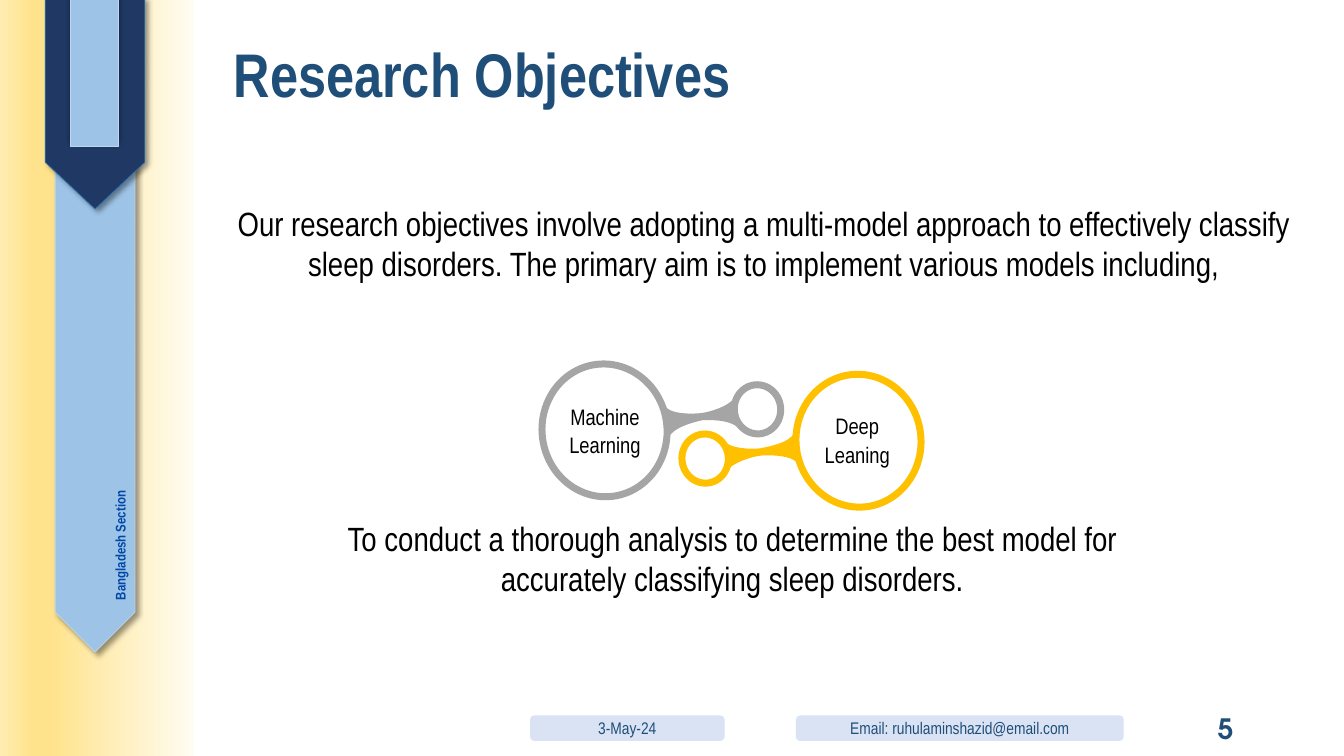
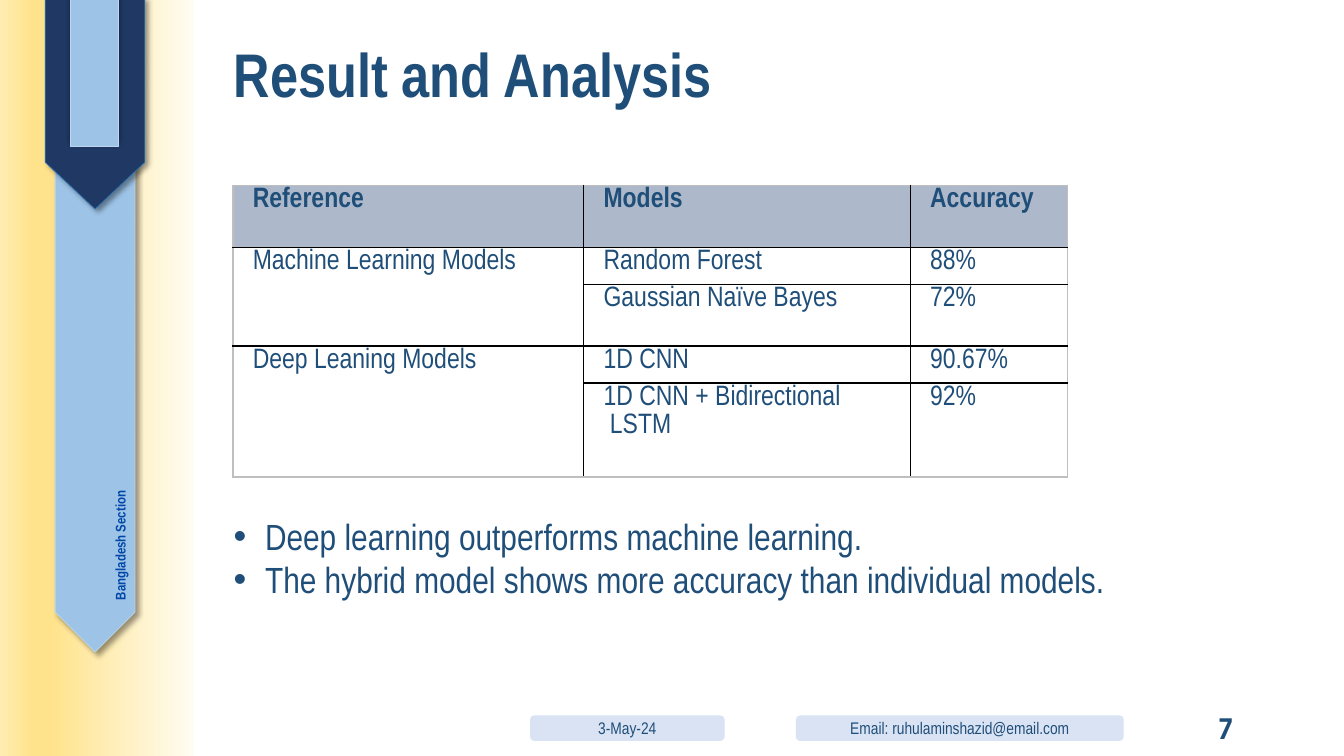
from lxml.etree import SubElement
from pptx import Presentation
from pptx.dml.color import RGBColor
from pptx.enum.shapes import MSO_SHAPE
from pptx.enum.text import MSO_ANCHOR, PP_ALIGN
from pptx.oxml.ns import qn
from pptx.util import Cm, Pt

BLUE, BLACK = "1F4E79", "000000"
GREY, GOLD, LIGHT_GREY = "A5A5A5", "FFC000", "BFBFBF"
NARROW = "Arial Narrow"
TITLE = {"name": NARROW, "size": Pt(44), "bold": True}
SECTION = {"name": NARROW, "size": Pt(10), "bold": True}
FOOTER = {"name": NARROW, "size": Pt(12), "bold": False}
NUMBER = {"name": "TeX Gyre Adventor", "size": Pt(20), "bold": True}
BODY = {"name": NARROW, "size": Pt(24), "bold": False}
LABEL = {"name": NARROW, "size": Pt(16), "bold": False}
HEADER = {"name": NARROW, "size": Pt(20), "bold": True}
CELL = {"name": NARROW, "size": Pt(20), "bold": False}
BULLET = {"name": NARROW, "size": Pt(26), "bold": False}


def paint(shape, fill, line=None, width=0.5):
    shape.shadow.inherit = False
    shape.fill.solid()
    shape.fill.fore_color.rgb = RGBColor.from_string(fill)
    if line:
        shape.line.color.rgb = RGBColor.from_string(line)
        shape.line.width = Pt(width)
    else:
        shape.line.fill.background()


def write(frame, lines, style, color, alignment=PP_ALIGN.LEFT, spacing=1.0, anchor=MSO_ANCHOR.TOP):
    frame.word_wrap = True
    frame.vertical_anchor = anchor
    for index, line in enumerate(lines):
        paragraph = frame.add_paragraph() if index else frame.paragraphs[0]
        paragraph.alignment = alignment
        paragraph.line_spacing = spacing
        run = paragraph.add_run()
        run.text = line
        run.font.color.rgb = RGBColor.from_string(color)
        for name, value in style.items():
            setattr(run.font, name, value)


presentation = Presentation()
presentation.slide_width = Cm(33.87)
presentation.slide_height = Cm(19.05)

band_stops = [(0, "FFFCF2"), (74, "FFE38C"), (83, "FFE38C"), (100, "FFECB2")]
ribbons = [
    ((-5.82, 7.21, 16.43, 2.01), 0.5, "9DC3E6", "BDD7EE", 45),
    ((-0.27, 1.35, 5.33, 2.51), 0.47, "203864", "2E75B6", 45),
    ((0.51, 1.22, 3.73, 1.22), 0, "9DC3E6", "BDD7EE", 270),
]
footers = [
    ((13.36, 18.03, 4.9, 0.64), "3-May-24"),
    ((20.06, 18.03, 8.26, 0.64), "Email: ruhulaminshazid@email.com"),
]

slides = []
for title, number in [("Research Objectives", "5"), ("Result and Analysis", "7")]:
    slide = presentation.slides.add_slide(presentation.slide_layouts[6])
    slides.append(slide)

    band = slide.shapes.add_shape(MSO_SHAPE.RECTANGLE, 0, 0, Cm(4.88), Cm(19.05))
    band.shadow.inherit = False
    band.line.fill.background()
    band.fill.gradient()
    band.fill.gradient_angle = 180
    stops = band._element.spPr.find(qn("a:gradFill")).find(qn("a:gsLst"))
    for stop in list(stops):
        stops.remove(stop)
    for position, color in band_stops:
        stop = SubElement(stops, qn("a:gs"), pos=str(position * 1000))
        SubElement(stop, qn("a:srgbClr"), val=color)

    for box, point, fill, line, direction in ribbons:
        ribbon = slide.shapes.add_shape(MSO_SHAPE.PENTAGON, *map(Cm, box))
        ribbon.rotation = 90
        ribbon.adjustments[0] = point
        paint(ribbon, fill, line)
        effects = ribbon._element.spPr.find(qn("a:effectLst"))
        shadow = SubElement(
            effects, qn("a:outerShdw"), blurRad=str(Pt(4)), dist=str(Pt(3)),
            dir=str(direction * 60000), rotWithShape="0")
        shadow_color = SubElement(shadow, qn("a:srgbClr"), val=BLACK)
        SubElement(shadow_color, qn("a:alpha"), val="40000")

    section = slide.shapes.add_textbox(*map(Cm, (0.81, 12.78, 4.47, 0.71)))
    section.rotation = 270
    write(section.text_frame, ["Bangladesh Section"], SECTION, "0047A8")

    heading = slide.shapes.add_textbox(*map(Cm, (5.64, 0.36, 27.23, 3.18)))
    write(heading.text_frame, [title], TITLE, BLUE, spacing=0.9, anchor=MSO_ANCHOR.MIDDLE)

    page = slide.shapes.add_textbox(*map(Cm, (23.72, 18.03, 7.62, 0.64)))
    write(page.text_frame, [number], NUMBER, BLUE, PP_ALIGN.RIGHT, anchor=MSO_ANCHOR.MIDDLE)

    for box, text in footers:
        footer = slide.shapes.add_shape(MSO_SHAPE.ROUNDED_RECTANGLE, *map(Cm, box))
        paint(footer, "DAE3F3")
        write(footer.text_frame, [text], FOOTER, BLUE, PP_ALIGN.CENTER, anchor=MSO_ANCHOR.MIDDLE)

objectives, results = slides

links = [
    (GREY, 82.7, [(13.56, 9.27, 3.35, 3.15), (18.47, 9.73, 1.24, 1.17)], [
        (18.54, 9.98), (18.44, 10.29), (18.49, 10.52), (18.64, 10.82),
        (18.49, 10.62), (18.08, 10.57), (17.7, 10.59),
        (17.35, 10.67), (16.94, 10.8), (16.84, 11.05),
        (16.84, 11.05), (16.74, 10.21), (16.74, 10.21),
        (16.87, 10.44), (17.4, 10.44), (17.68, 10.41),
        (18.01, 10.36), (18.44, 10.19), (18.54, 9.98)]),
    (GOLD, 263.6, [(19.96, 9.53, 3.35, 3.15), (17.15, 10.97, 1.24, 1.17)], [
        (18.29, 11.91), (18.42, 11.53), (18.42, 11.43), (18.19, 11.07),
        (18.36, 11.28), (18.77, 11.33), (19.15, 11.3),
        (19.51, 11.23), (19.94, 11.13), (20.04, 10.87),
        (20.04, 10.87), (20.12, 11.71), (20.12, 11.71),
        (20.02, 11.48), (19.46, 11.46), (19.18, 11.48),
        (18.82, 11.53), (18.39, 11.71), (18.29, 11.91)]),
]
steps = 10
for color, rotation, circles, curve in links:
    for box in circles:
        circle = objectives.shapes.add_shape(MSO_SHAPE.OVAL, *map(Cm, box))
        circle.rotation = rotation
        paint(circle, "FFFFFF", color, 5)
    points = []
    for start in range(0, len(curve) - 1, 3):
        controls = curve[start:start + 4]
        for step in range(1, steps + 1):
            t = step / steps
            weights = ((1 - t) ** 3, 3 * t * (1 - t) ** 2, 3 * t ** 2 * (1 - t), t ** 3)
            points.append(tuple(
                Cm(sum(weight * control[axis] for weight, control in zip(weights, controls)))
                for axis in (0, 1)))
    builder = objectives.shapes.build_freeform(*map(Cm, curve[0]))
    builder.add_line_segments(points, close=True)
    paint(builder.convert_to_shape(), color)

texts = [
    ((13.77, 9.98, 2.95, 2.26), LABEL, 1.07, ["Machine", "Learning"]),
    ((19.33, 10.22, 4.55, 2.26), LABEL, 1.07, ["Deep", "Leaning"]),
    ((5.64, 4.98, 27.2, 2.31), BODY, 1.0, [
        "Our research objectives involve adopting a multi-model approach to effectively classify",
        "sleep disorders. The primary aim is to implement various models including,"]),
    ((8.2, 12.93, 20.5, 2.31), BODY, 1.0, [
        "To conduct a thorough analysis to determine the best model for",
        "accurately classifying sleep disorders."]),
]
for box, style, spacing, lines in texts:
    text_box = objectives.shapes.add_textbox(*map(Cm, box))
    write(text_box.text_frame, lines, style, BLACK, PP_ALIGN.CENTER, spacing)

rows = [
    (1.56, [["Reference"], ["Models"], ["Accuracy"]]),
    (0.93, [["Machine Learning Models"], ["Random Forest"], ["88%"]]),
    (1.56, [[], ["Gaussian Naïve Bayes"], ["72%"]]),
    (0.93, [["Deep Leaning Models"], ["1D CNN"], ["90.67%"]]),
    (2.37, [[], ["1D CNN + Bidirectional", " LSTM"], ["92%"]]),
]
widths = [8.84, 8.23, 3.96]
height_sum = sum(height for height, contents in rows)
table = results.shapes.add_table(
    len(rows), len(widths), *map(Cm, (5.87, 4.67, sum(widths), height_sum))).table
table.horz_banding = False
for row_index in (1, 3):
    table.cell(row_index, 0).merge(table.cell(row_index + 1, 0))
for column, width in zip(table.columns, widths):
    column.width = Cm(width)
for row_index, (height, contents) in enumerate(rows):
    table.rows[row_index].height = Cm(height)
    for column_index, lines in enumerate(contents):
        cell = table.cell(row_index, column_index)
        margins = {"margin_left": 0.5, "margin_right": 0.18, "margin_top": 0, "margin_bottom": 0}
        for name, value in margins.items():
            setattr(cell, name, Cm(value))
        style = CELL if row_index else HEADER
        write(cell.text_frame, lines, style, BLUE, PP_ALIGN.JUSTIFY, 1.07)
        outer_sides = {
            "a:lnL": column_index == 0,
            "a:lnR": column_index == len(widths) - 1,
            "a:lnT": row_index == 0,
            "a:lnB": row_index + cell.span_height == len(rows),
        }
        properties = cell._tc.get_or_add_tcPr()
        for side, outer in outer_sides.items():
            border = SubElement(properties, qn(side), w=str(Pt(1)))
            border_fill = SubElement(border, qn("a:solidFill"))
            SubElement(border_fill, qn("a:srgbClr"), val=LIGHT_GREY if outer else BLACK)
        if row_index:
            cell.fill.background()
        else:
            cell.fill.solid()
            cell.fill.fore_color.rgb = RGBColor.from_string("ADB9CA")

findings = results.shapes.add_textbox(*map(Cm, (5.64, 12.82, 24.49, 2.49)))
write(findings.text_frame, [
    "Deep learning outperforms machine learning.",
    "The hybrid model shows more accuracy than individual models."], BULLET, BLUE)
for paragraph in findings.text_frame.paragraphs:
    properties = paragraph._p.get_or_add_pPr()
    properties.set("marL", str(Cm(0.79)))
    properties.set("indent", str(-Cm(0.79)))
    SubElement(properties, qn("a:buFont"), typeface="Arial")
    SubElement(properties, qn("a:buChar"), char="•")

presentation.save("out.pptx")
